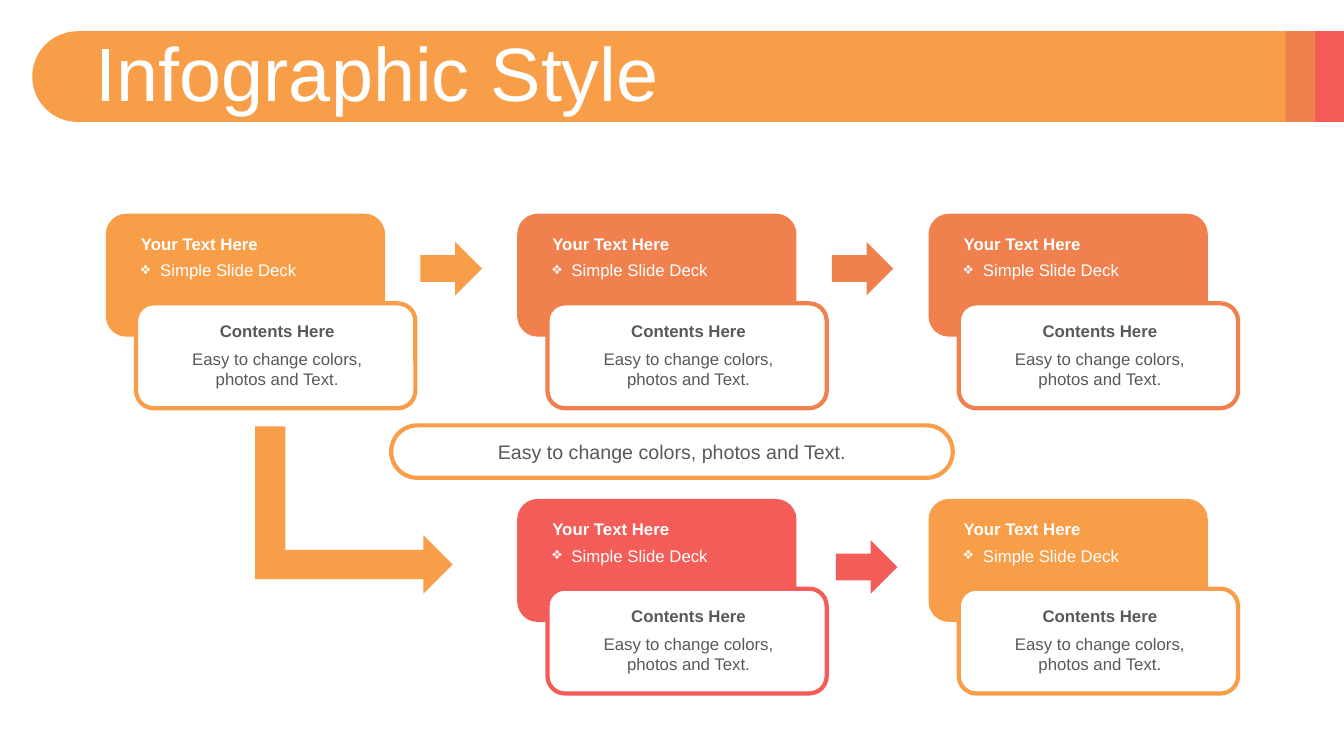
from dataclasses import dataclass
from lxml.etree import SubElement
from pptx import Presentation
from pptx.dml.color import RGBColor as RGB
from pptx.enum.shapes import MSO_SHAPE as Shape
from pptx.enum.text import MSO_ANCHOR as Anchor, MSO_AUTO_SIZE as Fit, PP_ALIGN as Align
from pptx.oxml.ns import qn
from pptx.util import Inches, Pt


@dataclass(frozen=True)
class Theme:
    amber: str = "F89E48"
    coral: str = "F0804E"
    red: str = "F45C58"
    white: str = "FFFFFF"
    gray: str = "595959"
    font: str = "Arial"
    title: int = 54
    note: int = 14
    body: int = 12
    line: int = 3


T = Theme()

TITLE = "Infographic Style"
HEAD = "Your Text Here"
POINT = "Simple Slide Deck"
LABEL = "Contents Here"
NOTE = "Easy to change colors, photos and Text."

# Column, row, color
CARDS = [
    (0, 0, T.amber), (1, 0, T.coral), (2, 0, T.coral),
    (1, 1, T.red), (2, 1, T.amber),
]
# Left, top, color
ARROWS = [(4.17, 2.4, T.amber), (8.25, 2.4, T.coral), (8.29, 5.36, T.red)]

LEFT, TOP = 1.05, 2.12
STEP_X, STEP_Y = 4.08, 2.83
BAND_X, BAND_Y, BAND_H = 0.32, 0.31, 0.9
WIDE, HIGH = 13.33, 7.5


def add_box(shapes, kind, at, fill, line=None):
    box = shapes.add_shape(kind, *map(Inches, at))
    box.shadow.inherit = False
    box.fill.solid()
    box.fill.fore_color.rgb = RGB.from_string(fill)
    if line:
        box.line.color.rgb = RGB.from_string(line)
        box.line.width = Pt(T.line)
    else:
        box.line.fill.background()
    return box


def style(para, size, color, bold=False):
    font = para.font
    font.name, font.size, font.bold = T.font, Pt(size), bold
    font.color.rgb = RGB.from_string(color)


def add_text(shapes, at, text, color, size=T.body, bold=False,
             align=Align.LEFT, bullet=None):
    frame = shapes.add_textbox(*map(Inches, at)).text_frame
    frame.word_wrap = True
    frame.vertical_anchor = Anchor.MIDDLE
    para = frame.paragraphs[0]
    para.text = text
    para.alignment = align
    if bullet:
        props = para._p.get_or_add_pPr()
        props.set("marL", str(Inches(0.19)))
        props.set("indent", str(-Inches(0.19)))
        SubElement(props, qn("a:buChar")).set("char", bullet)
    style(para, size, color, bold)


def add_title(slide):
    """Draw the band and place the title in front of it."""
    shapes = slide.shapes
    long = WIDE - BAND_X
    mid_x, mid_y = BAND_X + long / 2, BAND_Y + BAND_H / 2
    band = add_box(shapes, Shape.ROUND_2_SAME_RECTANGLE,
                   (mid_x - BAND_H / 2, mid_y - long / 2, BAND_H, long), T.amber)
    band.rotation = 270
    band.adjustments[0] = 0.5
    for x, color in ((13.04, T.red), (12.75, T.coral)):
        add_box(shapes, Shape.RECTANGLE, (x, BAND_Y, 0.29, BAND_H), color)

    title = shapes.title
    title.left, title.top, title.width, title.height = map(
        Inches, (0.85, 0.37, 12.16, 0.79))
    title.element.getparent().append(title.element)
    frame = title.text_frame
    frame.text = TITLE
    frame.auto_size = Fit.NONE
    frame.vertical_anchor = Anchor.MIDDLE
    para = frame.paragraphs[0]
    para.alignment = Align.LEFT
    para.line_spacing = 0.9
    style(para, T.title, T.white)


def add_card(slide, col, row, color):
    x, y = LEFT + col * STEP_X, TOP + row * STEP_Y
    shapes = slide.shapes.add_group_shape().shapes
    add_box(shapes, Shape.ROUNDED_RECTANGLE, (x, y, 2.77, 1.22), color)
    add_box(shapes, Shape.ROUNDED_RECTANGLE, (x + 0.3, y + 0.89, 2.77, 1.04),
            T.white, color)
    add_text(shapes, (x + 0.25, y + 0.41, 2.34, 0.3), POINT, T.white, bullet="❖")
    add_text(shapes, (x + 0.25, y + 0.15, 2.34, 0.3), HEAD, T.white, bold=True)
    add_text(shapes, (x + 0.57, y + 1.32, 2.26, 0.43), NOTE, T.gray,
             align=Align.CENTER)
    add_text(shapes, (x + 0.57, y + 1.02, 2.26, 0.28), LABEL, T.gray, bold=True,
             align=Align.CENTER)


def add_flow(slide):
    shapes = slide.shapes
    for x, y, color in ARROWS:
        add_box(shapes, Shape.RIGHT_ARROW, (x, y, 0.61, 0.53), color)
    bend = shapes.add_group_shape().shapes
    add_box(bend, Shape.RIGHT_ARROW, (2.53, 5.31, 1.96, 0.58), T.amber)
    add_box(bend, Shape.RECTANGLE, (2.53, 4.23, 0.3, 1.37), T.amber)


def add_note(slide):
    pill = add_box(slide.shapes, Shape.ROUNDED_RECTANGLE,
                   (3.88, 4.22, 5.57, 0.52), T.white, T.amber)
    pill.adjustments[0] = 0.5
    add_text(slide.shapes, (4.8, 4.34, 3.73, 0.29), NOTE, T.gray, T.note,
             align=Align.CENTER)


def main():
    deck = Presentation()
    deck.slide_width, deck.slide_height = Inches(WIDE), Inches(HIGH)
    slide = deck.slides.add_slide(deck.slide_layouts[5])
    add_title(slide)
    for card in CARDS:
        add_card(slide, *card)
    add_flow(slide)
    add_note(slide)
    deck.save("out.pptx")


if __name__ == "__main__":
    main()
